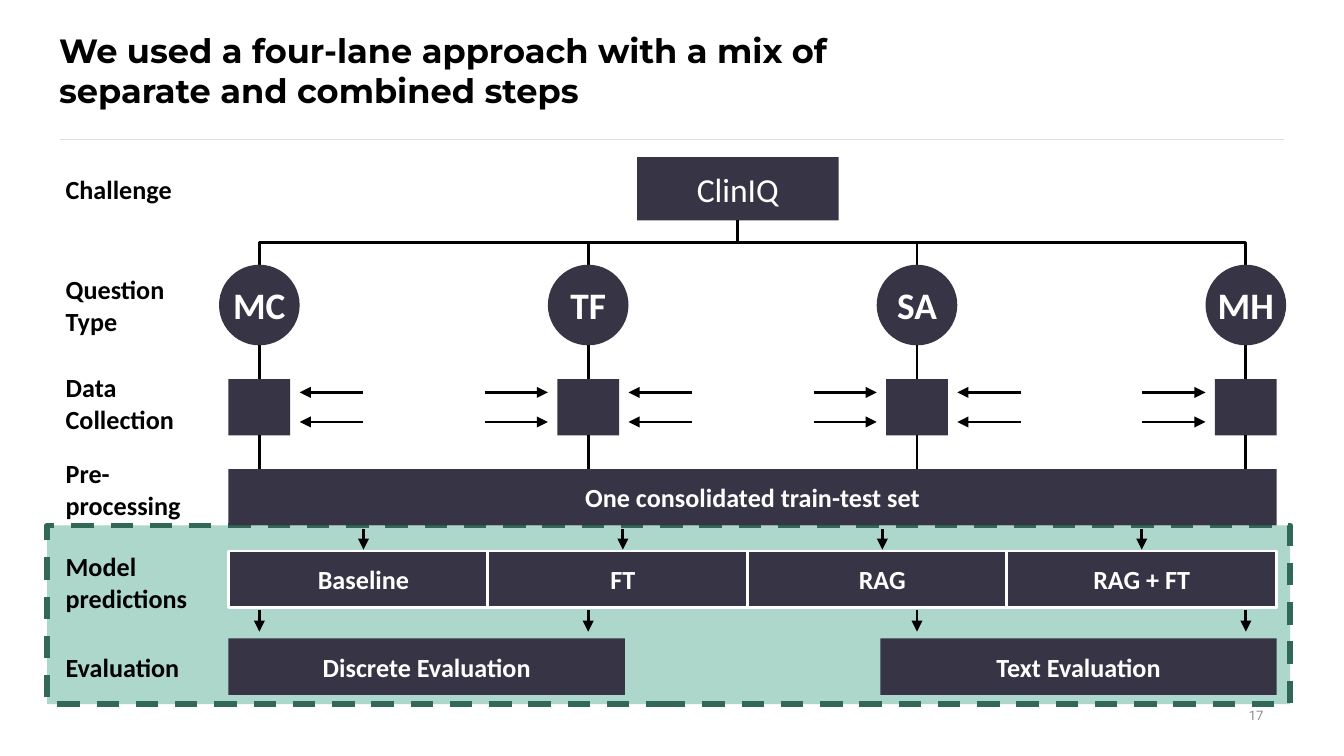
from dataclasses import dataclass

from lxml import etree
from pptx import Presentation
from pptx.dml.color import RGBColor
from pptx.enum.dml import MSO_LINE
from pptx.enum.shapes import MSO_CONNECTOR, MSO_SHAPE
from pptx.enum.text import MSO_ANCHOR, PP_ALIGN
from pptx.oxml.ns import qn
from pptx.util import Inches, Pt

RECT, OVAL = MSO_SHAPE.RECTANGLE, MSO_SHAPE.OVAL
STRAIGHT, ELBOW = MSO_CONNECTOR.STRAIGHT, MSO_CONNECTOR.ELBOW
LEFT, CENTER, RIGHT = PP_ALIGN.LEFT, PP_ALIGN.CENTER, PP_ALIGN.RIGHT
TOP, MIDDLE = MSO_ANCHOR.TOP, MSO_ANCHOR.MIDDLE
DASH = MSO_LINE.DASH


@dataclass(frozen=True)
class Theme:
    dark: str = "373545"
    mint: str = "ACD7CA"
    green: str = "316857"
    black: str = "000000"
    white: str = "FFFFFF"
    rule: str = "E0E0E0"
    gray: str = "8C8C8C"
    body_font: str = "Calibri"
    title_font: str = "Montserrat"
    number_font: str = "Roboto"
    body: float = 14
    heading: float = 18
    circle: float = 20
    number: float = 7
    stroke: float = 1.5


@dataclass(frozen=True)
class Box:
    left: float
    top: float
    width: float
    height: float


@dataclass(frozen=True)
class Type:
    size: float
    color: str
    font: str = Theme.body_font
    bold: bool = True
    align: PP_ALIGN = CENTER
    anchor: MSO_ANCHOR = MIDDLE


THEME = Theme()
LABEL = Type(THEME.body, THEME.black, align=LEFT)
BAR = Type(THEME.body, THEME.white)
ROOT = Type(THEME.heading, THEME.white, bold=False)
CIRCLE = Type(THEME.circle, THEME.white)
TITLE = Type(THEME.heading, THEME.black, THEME.title_font, align=LEFT, anchor=TOP)
NUMBER = Type(THEME.number, THEME.gray, THEME.number_font, bold=False, align=RIGHT)

ROW_LABELS = [("Challenge", 1.17), ("Question\vType", 2.03), ("Data\vCollection", 2.76),
              ("Pre-\vprocessing", 3.4), ("Model predictions", 4.09), ("Evaluation", 4.72)]
QUESTION_TYPES = ["MC", "TF", "SA", "MH"]
MODELS = ["Baseline", "FT", "RAG", "RAG + FT"]
LANES = [1.93 + 7.34 / 3 * i for i in range(len(QUESTION_TYPES))]

BAR_LEFT, BAR_WIDTH, BAR_HEIGHT = 1.7, 7.8, 0.42
ROOT_BOX = Box(4.74, 1.17, 1.5, 0.47)
CIRCLE_TOP, CIRCLE_SIZE = 1.97, 0.6
DATA_TOP, DATA_WIDTH = 2.82, 0.46
SET_TOP, MODEL_TOP, EVALUATION_TOP = 3.49, 4.1, 4.75
MODEL_PITCH, MODEL_WIDTH = 1.93, 2.01
EVALUATION_WIDTH = 2.95


def rgb(value: str) -> RGBColor:
    return RGBColor.from_string(value)


def write(frame, text: str, style: Type, inset: bool = False) -> None:
    frame.text = text
    frame.word_wrap = True
    frame.vertical_anchor = style.anchor
    if not inset:
        frame.margin_left = frame.margin_right = 0
        frame.margin_top = frame.margin_bottom = 0
    for paragraph in frame.paragraphs:
        paragraph.alignment = style.align
        for run in paragraph.runs:
            run.font.size = Pt(style.size)
            run.font.name = style.font
            run.font.bold = style.bold
            run.font.color.rgb = rgb(style.color)


def place(box: Box) -> list:
    return [Inches(v) for v in (box.left, box.top, box.width, box.height)]


def add_text(slide, box: Box, text: str, style: Type, inset: bool = True) -> None:
    write(slide.shapes.add_textbox(*place(box)).text_frame, text, style, inset)


def add_block(slide, box: Box, text: str = "", style: Type = BAR, kind=RECT,
              fill: str = THEME.dark, line: str = "", weight: float = THEME.stroke):
    block = slide.shapes.add_shape(kind, *place(box))
    block.shadow.inherit = False
    block.fill.solid()
    block.fill.fore_color.rgb = rgb(fill)
    if line:
        block.line.color.rgb = rgb(line)
        block.line.width = Pt(weight)
    else:
        block.line.fill.background()
    if text:
        write(block.text_frame, text, style)
    return block


def add_line(slide, x1: float, y1: float, x2: float, y2: float, arrow: bool = False,
             kind=STRAIGHT, color: str = THEME.black, weight: float = THEME.stroke):
    line = slide.shapes.add_connector(kind, *(Inches(v) for v in (x1, y1, x2, y2)))
    line.line.color.rgb = rgb(color)
    line.line.width = Pt(weight)
    if arrow:
        etree.SubElement(line.line._get_or_add_ln(), qn("a:tailEnd"), type="triangle")
    etree.SubElement(line._element.spPr, qn("a:effectLst"))
    return line


def add_branch(slide, x1: float, y1: float, x2: float, y2: float) -> None:
    """Elbow that leaves downwards: a sideways elbow turned by 90 degrees about its centre."""
    mid_x, mid_y = (x1 + x2) / 2, (y1 + y2) / 2
    half_w, half_h = (y2 - y1) / 2, (x2 - x1) / 2
    branch = add_line(slide, mid_x - half_w, mid_y + half_h,
                      mid_x + half_w, mid_y - half_h, kind=ELBOW)
    branch._element.spPr.find(qn("a:xfrm")).set("rot", "5400000")


def add_lane(slide, index: int, x: float) -> None:
    """One question type: circle, data square, side arrows and links down to the bars."""
    add_branch(slide, ROOT_BOX.left + ROOT_BOX.width / 2, ROOT_BOX.top + ROOT_BOX.height,
               x, CIRCLE_TOP)
    add_block(slide, Box(x - CIRCLE_SIZE / 2, CIRCLE_TOP, CIRCLE_SIZE, CIRCLE_SIZE),
              QUESTION_TYPES[index], CIRCLE, OVAL)
    add_block(slide, Box(x - DATA_WIDTH / 2, DATA_TOP, DATA_WIDTH, BAR_HEIGHT))
    add_line(slide, x, DATA_TOP, x, CIRCLE_TOP + CIRCLE_SIZE)
    add_line(slide, x, SET_TOP, x, DATA_TOP + BAR_HEIGHT)
    sides = [side for side, present in ((-1, index > 0), (1, index < len(LANES) - 1)) if present]
    for side in sides:
        for y in (2.92, 3.14):
            add_line(slide, x + side * 0.77, y, x + side * 0.3, y, arrow=True)
    add_line(slide, x, 4.54, x, 4.7, arrow=True)


def main() -> None:
    deck = Presentation()
    deck.slide_width = Inches(10)
    deck.slide_height = deck.slide_width * 9 // 16
    slide = deck.slides.add_slide(deck.slide_layouts[6])

    add_line(slide, 9.55, 1.04, 0.45, 1.04, color=THEME.rule, weight=0.75)
    panel = add_block(slide, Box(0.35, 3.91, 9.25, 1.33), fill=THEME.mint,
                      line=THEME.green, weight=3)
    panel.line.dash_style = DASH

    for i, model in enumerate(MODELS):
        left = BAR_LEFT + i * MODEL_PITCH
        add_block(slide, Box(left, MODEL_TOP, MODEL_WIDTH, BAR_HEIGHT), model, line=THEME.white)
        center = left + MODEL_WIDTH / 2
        add_line(slide, center, 3.94, center, 4.09, arrow=True)

    add_text(slide, Box(0.44, 0.22, 6.67, 0.39),
             "We used a four-lane approach with a mix of separate and combined steps",
             TITLE, inset=False)
    add_block(slide, ROOT_BOX, "ClinIQ", ROOT)
    for i, x in enumerate(LANES):
        add_lane(slide, i, x)
    add_block(slide, Box(BAR_LEFT, SET_TOP, BAR_WIDTH, BAR_HEIGHT),
              "One consolidated train-test set")

    evaluations = [("Discrete Evaluation", BAR_LEFT),
                   ("Text Evaluation", BAR_LEFT + BAR_WIDTH - EVALUATION_WIDTH)]
    for name, left in evaluations:
        add_block(slide, Box(left, EVALUATION_TOP, EVALUATION_WIDTH, BAR_HEIGHT), name)
    for label, top in ROW_LABELS:
        add_text(slide, Box(0.39, top, 1.5, 0.48), label, LABEL)
    add_text(slide, Box(7.17, 5.17, 2.33, 0.3), "17", NUMBER)

    deck.save("out.pptx")


if __name__ == "__main__":
    main()
